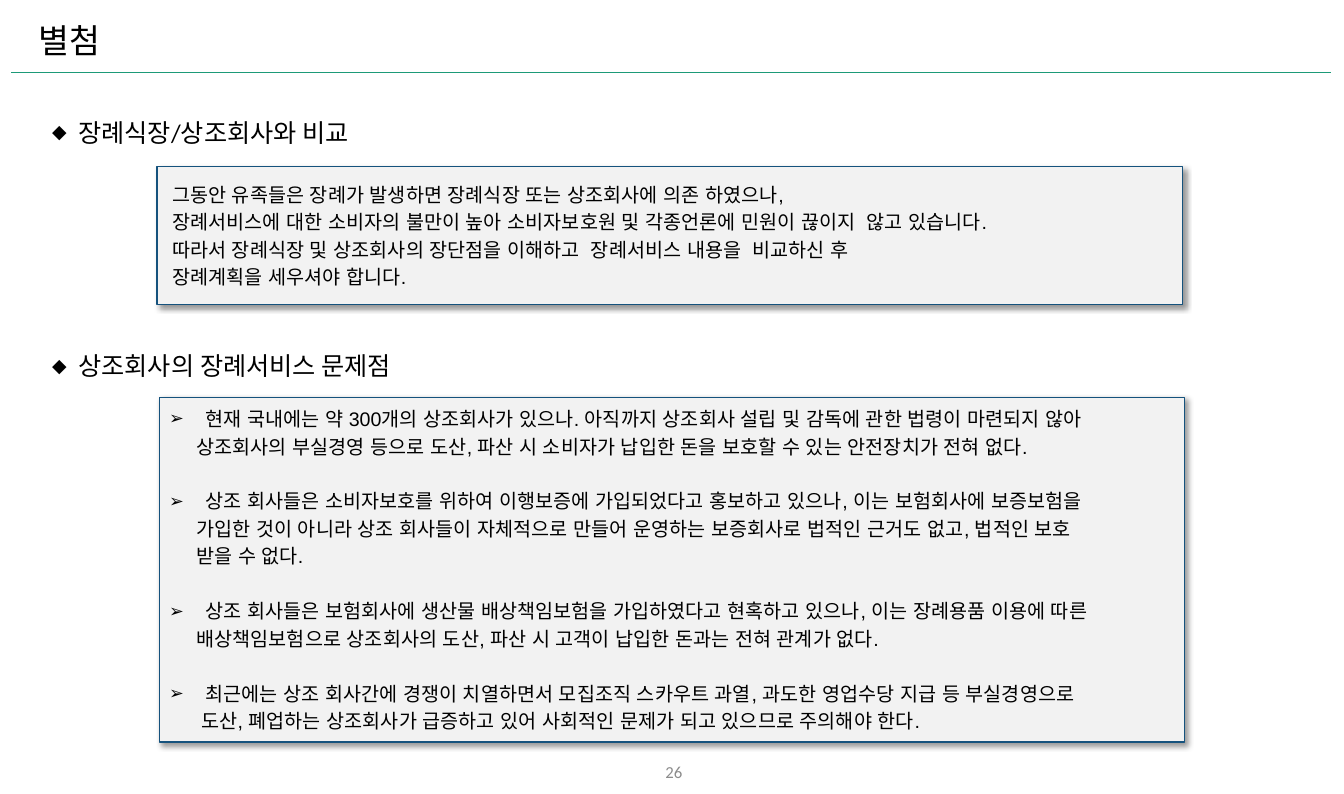
from dataclasses import dataclass

from lxml.etree import SubElement
from pptx import Presentation
from pptx.dml.color import RGBColor
from pptx.enum.shapes import MSO_CONNECTOR, MSO_SHAPE
from pptx.enum.text import MSO_ANCHOR, PP_ALIGN
from pptx.oxml.ns import qn
from pptx.util import Cm, Inches, Pt


@dataclass(frozen=True)
class Theme:
    ink: str = "000000"
    muted: str = "8C8C8C"
    rule: str = "1D9A78"
    panel: str = "F2F2F2"
    border: str = "15527D"
    heading_font: str = "Calibri"
    body_font: str = "Arial"
    title: int = 24
    heading: int = 18
    body: int = 14
    footer: int = 12
    line_gap: float = 2.8
    item_gap: float = 22.4


THEME = Theme()
SLIDE_WIDTH, SLIDE_HEIGHT = Pt(960), Cm(20)
WIDTH = SLIDE_WIDTH.inches
PANEL_WIDTH = 10.17

COMPARISON = [
    "그동안 유족들은 장례가 발생하면 장례식장 또는 상조회사에 의존 하였으나,",
    "장례서비스에 대한 소비자의 불만이 높아 소비자보호원 및 각종언론에 민원이 끊이지  않고 있습니다.",
    "따라서 장례식장 및 상조회사의 장단점을 이해하고  장례서비스 내용을  비교하신 후",
    "장례계획을 세우셔야 합니다.",
]
# Each problem: indent of its continuation lines, then its lines
PROBLEMS = [
    (0.27, "현재 국내에는 약 300개의 상조회사가 있으나. 아직까지 상조회사 설립 및 감독에 관한 법령이 마련되지 않아",
     "상조회사의 부실경영 등으로 도산, 파산 시 소비자가 납입한 돈을 보호할 수 있는 안전장치가 전혀 없다."),
    (0.27, "상조 회사들은 소비자보호를 위하여 이행보증에 가입되었다고 홍보하고 있으나, 이는 보험회사에 보증보험을",
     "가입한 것이 아니라 상조 회사들이 자체적으로 만들어 운영하는 보증회사로 법적인 근거도 없고, 법적인 보호",
     "받을 수 없다."),
    (0.27, "상조 회사들은 보험회사에 생산물 배상책임보험을 가입하였다고 현혹하고 있으나, 이는 장례용품 이용에 따른",
     "배상책임보험으로 상조회사의 도산, 파산 시 고객이 납입한 돈과는 전혀 관계가 없다."),
    (0.32, "최근에는 상조 회사간에 경쟁이 치열하면서 모집조직 스카우트 과열, 과도한 영업수당 지급 등 부실경영으로",
     "도산, 폐업하는 상조회사가 급증하고 있어 사회적인 문제가 되고 있으므로 주의해야 한다."),
]


def write(frame, text, *, size, font, color=THEME.ink, align=PP_ALIGN.LEFT,
          indent=0, hang=0, bullet=None, bullet_size=100, before=0):
    """Fill the frame's empty first paragraph, or append a new one."""
    first = frame.paragraphs[0]
    paragraph = frame.add_paragraph() if first.runs else first
    paragraph.alignment = align
    paragraph.space_before = Pt(before if paragraph is not first else 0)
    properties = paragraph._p.get_or_add_pPr()
    properties.set("marL", str(Inches(indent)))
    properties.set("indent", str(-Inches(hang)))
    if bullet:
        SubElement(properties, qn("a:buSzPct"), val=str(bullet_size * 1000))
        SubElement(properties, qn("a:buFont"), typeface=font)
        SubElement(properties, qn("a:buChar"), char=bullet)
    run = paragraph.add_run()
    run.text = text
    run.font.size = Pt(size)
    run.font.name = font
    run.font.color.rgb = RGBColor.from_string(color)
    SubElement(run.font._element, qn("a:ea"), typeface=font)


def add_label(slide, box, text, anchor=MSO_ANCHOR.TOP, **style):
    frame = slide.shapes.add_textbox(*map(Inches, box)).text_frame
    frame.word_wrap = True
    frame.vertical_anchor = anchor
    write(frame, text, font=THEME.heading_font, **style)


def add_panel(slide, box):
    """Add a bordered grey panel with a soft shadow and return its text frame."""
    panel = slide.shapes.add_shape(MSO_SHAPE.RECTANGLE, *map(Inches, box))
    panel.fill.solid()
    panel.fill.fore_color.rgb = RGBColor.from_string(THEME.panel)
    panel.line.color.rgb = RGBColor.from_string(THEME.border)
    panel.line.width = Pt(1)
    panel.shadow.inherit = False
    effects = panel._element.spPr.find(qn("a:effectLst"))
    shadow = SubElement(effects, qn("a:outerShdw"), blurRad=str(Pt(4)), dist=str(Pt(3)),
                        dir=str(45 * 60000), algn="tl", rotWithShape="0")
    tone = SubElement(shadow, qn("a:srgbClr"), val="000000")
    SubElement(tone, qn("a:alpha"), val="40000")
    frame = panel.text_frame
    frame.word_wrap = True
    frame.vertical_anchor = MSO_ANCHOR.MIDDLE
    return frame


def add_header(slide, left, top):
    add_label(slide, (left, top, 0.95, 0.5), "별첨", size=THEME.title)
    rule = slide.shapes.add_connector(
        MSO_CONNECTOR.STRAIGHT, *map(Inches, (0.11, top + 0.57, 13.2, top + 0.57)))
    rule.line.color.rgb = RGBColor.from_string(THEME.rule)
    rule.line.width = Pt(0.5)
    SubElement(rule._element.spPr, qn("a:effectLst"))


def add_heading(slide, left, top, text):
    add_label(slide, (left, top, 5.7, 0.4), text, size=THEME.heading,
              indent=0.3, hang=0.26, bullet="◆", bullet_size=75)


def add_comparison(slide, box):
    frame = add_panel(slide, box)
    for line in COMPARISON:
        write(frame, line, size=THEME.body, font=THEME.body_font,
              indent=0.05, before=THEME.line_gap)


def add_problems(slide, box):
    frame = add_panel(slide, box)
    body = {"size": THEME.body, "font": THEME.body_font}
    for indent, lead, *continuation in PROBLEMS:
        write(frame, lead, indent=0.36, hang=0.36, bullet="➢", bullet_size=90,
              before=THEME.item_gap, **body)
        for line in continuation:
            write(frame, line, indent=indent, before=THEME.line_gap, **body)


def add_page_number(slide, top, number):
    width = 3.14
    add_label(slide, ((WIDTH - width) / 2 + 0.02, top, width, 0.4), number,
              MSO_ANCHOR.MIDDLE, size=THEME.footer, color=THEME.muted,
              align=PP_ALIGN.CENTER)


def main():
    deck = Presentation()
    deck.slide_width, deck.slide_height = SLIDE_WIDTH, SLIDE_HEIGHT
    slide = deck.slides.add_slide(deck.slide_layouts[6])
    add_header(slide, 0.28, 0.15)
    add_heading(slide, 0.38, 1.11, "장례식장/상조회사와 비교")
    add_comparison(slide, (1.56, 1.65, PANEL_WIDTH, 1.37))
    add_heading(slide, 0.38, 3.43, "상조회사의 장례서비스 문제점")
    add_problems(slide, (1.58, 3.94, PANEL_WIDTH, 3.42))
    add_page_number(slide, 7.45, "26")
    deck.save("out.pptx")


if __name__ == "__main__":
    main()
